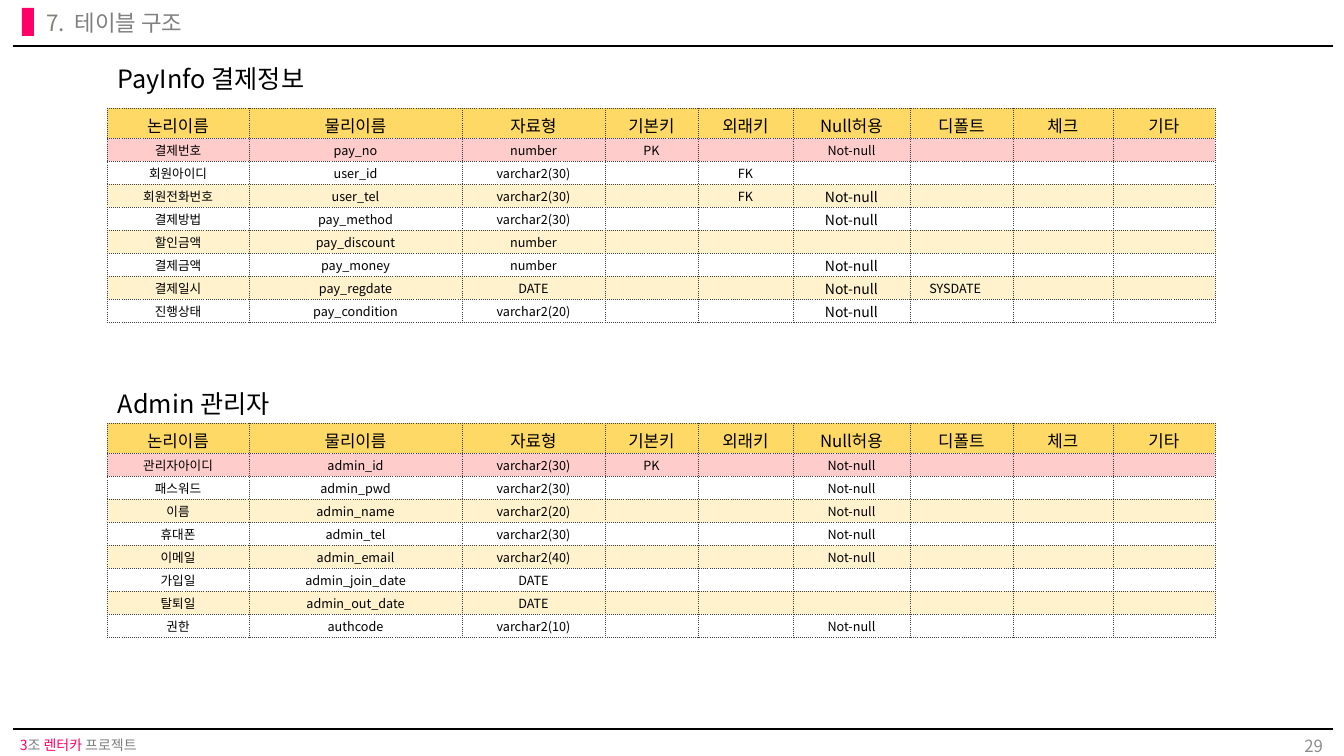
from itertools import product

from lxml.etree import SubElement
from pptx import Presentation
from pptx.dml.color import RGBColor
from pptx.enum.shapes import MSO_CONNECTOR, MSO_SHAPE
from pptx.enum.text import MSO_ANCHOR as ANCHOR, MSO_AUTO_SIZE as AUTO_SIZE, PP_ALIGN as ALIGN
from pptx.oxml.ns import qn
from pptx.util import Pt

# Content
TITLE = "7.  테이블 구조"
PAGE = "29"
FOOTER = [("3", "pink"), ("조 ", "gray"), ("렌터카", "pink"), (" 프로젝트", "gray")]
HEADERS = ["논리이름", "물리이름", "자료형", "기본키", "외래키", "Null허용", "디폴트", "체크", "기타"]
PAY_ROWS = [
    ("결제번호", "pay_no", "number", "PK", "", "Not-null"),
    ("회원아이디", "user_id", "varchar2(30)", "", "FK"),
    ("회원전화번호", "user_tel", "varchar2(30)", "", "FK", "Not-null"),
    ("결제방법", "pay_method", "varchar2(30)", "", "", "Not-null"),
    ("할인금액", "pay_discount", "number"),
    ("결제금액", "pay_money", "number", "", "", "Not-null"),
    ("결제일시", "pay_regdate", "DATE", "", "", "Not-null", "SYSDATE　"),
    ("진행상태", "pay_condition", "varchar2(20)", "", "", "Not-null"),
]
ADMIN_ROWS = [
    ("관리자아이디", "admin_id", "varchar2(30)", "PK", "", "Not-null"),
    ("패스워드", "admin_pwd", "varchar2(30)", "", "", "Not-null"),
    ("이름", "admin_name", "varchar2(20)", "", "", "Not-null"),
    ("휴대폰", "admin_tel", "varchar2(30)", "", "", "Not-null"),
    ("이메일", "admin_email", "varchar2(40)", "", "", "Not-null"),
    ("가입일", "admin_join_date", "DATE"),
    ("탈퇴일", "admin_out_date", "DATE"),
    ("권한", "authcode", "varchar2(10)", "", "", "Not-null"),
]
# caption, caption box, table top, rows, size of the Null column below the key row
ENTITIES = [
    ("PayInfo 결제정보", (108, 58, 220, 40), 108, PAY_ROWS, 10),
    ("Admin 관리자", (108, 383, 188, 40), 423, ADMIN_ROWS, 9),
]

# Style and measures in px
COLORS = {"black": "000000", "pink": "FF0066", "gray": "808080", "page": "8C8C8C",
          "header": "FFD966", "key": "FF0000", "band": "FFC000", "border": "404040"}
FONT = "Noto Sans CJK KR"
PX = 914400 / 100.8
COLUMNS = [142, 213, 143, 93, 95, 117, 103, 100, 102]
TABLE_LEFT, HEADER_HEIGHT, ROW_HEIGHT = 107, 30, 23
NULL_COLUMN = HEADERS.index("Null허용")


def px(*lengths):
    return [round(length * PX) for length in lengths]


def rgb(name):
    return RGBColor.from_string(COLORS[name])


def style_runs(paragraph, size, color):
    for run in paragraph.runs:
        font = run.font
        font.size, font.name, font.color.rgb = Pt(size), FONT, rgb(color)
        SubElement(font._element, qn("a:ea"), typeface=FONT)


def add_text(box, text, size, color, align=ALIGN.LEFT):
    textbox = slide.shapes.add_textbox(*px(*box))
    frame = textbox.text_frame
    frame.word_wrap = True
    frame.text = text
    frame.paragraphs[0].alignment = align
    style_runs(frame.paragraphs[0], size, color)
    return frame


def add_borders(cell):
    properties = cell._tc.get_or_add_tcPr()
    for side in ("lnL", "lnR", "lnT", "lnB"):
        border = SubElement(properties, qn(f"a:{side}"), w=str(Pt(0.25)))
        fill = SubElement(border, qn("a:solidFill"))
        SubElement(fill, qn("a:srgbClr"), val=COLORS["border"])
        SubElement(border, qn("a:prstDash"), val="sysDot")


def fill_cell(cell, color, opacity=100):
    if color is None:
        cell.fill.background()
        return
    cell.fill.solid()
    cell.fill.fore_color.rgb = rgb(color)
    if opacity < 100:
        shade = cell._tc.tcPr.find(qn("a:solidFill")).find(qn("a:srgbClr"))
        SubElement(shade, qn("a:alpha"), val=str(opacity * 1000))


def add_entity_table(top, rows, null_size):
    height = HEADER_HEIGHT + ROW_HEIGHT * len(rows)
    frame = slide.shapes.add_table(len(rows) + 1, len(COLUMNS),
                                   *px(TABLE_LEFT, top, sum(COLUMNS), height))
    table = frame.table
    table.first_row = table.horz_banding = False
    for column, width in zip(table.columns, px(*COLUMNS)):
        column.width = width
    for r, row in enumerate(table.rows):
        row.height = px(ROW_HEIGHT if r else HEADER_HEIGHT)[0]

    lines = [HEADERS, *rows]
    for r, c in product(range(len(lines)), range(len(COLUMNS))):
        cell = table.cell(r, c)
        cell.text = lines[r][c] if c < len(lines[r]) else ""
        add_borders(cell)
        if r == 0:
            size = 12
            fill_cell(cell, "header")
        else:
            size = null_size if c == NULL_COLUMN and r > 1 else 9
            fill_cell(cell, "key" if r == 1 else "band" if r % 2 else None, 20)
            cell.vertical_anchor = ANCHOR.MIDDLE
            cell.margin_left, cell.margin_top, cell.margin_right, cell.margin_bottom = px(1, 1, 1, 0)
        paragraph = cell.text_frame.paragraphs[0]
        paragraph.alignment = ALIGN.CENTER
        style_runs(paragraph, size, "black")
        if not cell.text:
            SubElement(paragraph._p, qn("a:endParaRPr"), sz=str(size * 100))


deck = Presentation()
deck.slide_width, deck.slide_height = px(1344, 756)
slide = deck.slides.add_slide(deck.slide_layouts[5])

# Rules above and below the content
for y in (46, 729):
    rule = slide.shapes.add_connector(MSO_CONNECTOR.STRAIGHT, *px(13, y, 1333, y))
    rule.line.color.rgb, rule.line.width = rgb("black"), Pt(1.5)
    SubElement(rule._element.spPr, qn("a:effectLst"))

# Title with its marker
marker = slide.shapes.add_shape(MSO_SHAPE.RECTANGLE, *px(22, 8, 12, 28))
marker.shadow.inherit = False
marker.fill.solid()
marker.fill.fore_color.rgb = rgb("pink")
marker.line.fill.background()

title = slide.shapes.title
title.left, title.top, title.width, title.height = px(36, 7, 443, 35)
heading = title.text_frame
heading.text = TITLE
heading.auto_size, heading.vertical_anchor = AUTO_SIZE.NONE, ANCHOR.TOP
heading.paragraphs[0].alignment = ALIGN.LEFT
heading.paragraphs[0].line_spacing = 0.9
style_runs(heading.paragraphs[0], 16, "gray")

# Captions and tables
for caption, box, top, rows, null_size in ENTITIES:
    add_text(box, caption, 18, "black")
    add_entity_table(top, rows, null_size)

# Footer and page number
footer = add_text((13, 734, 310, 23), "", 10, "gray")
footer.margin_left, footer.margin_top, footer.margin_right, footer.margin_bottom = px(7, 4, 7, 4)
credit = footer.paragraphs[0]
credit.line_spacing = 0.9
for words, color in FOOTER:
    credit.add_run().text = words
style_runs(credit, 10, "gray")
for run, (words, color) in zip(credit.runs, FOOTER):
    run.font.color.rgb = rgb(color)

page = add_text((1268, 728, 65, 35), PAGE, 12, "page", ALIGN.RIGHT)
page.vertical_anchor = ANCHOR.MIDDLE

deck.save("out.pptx")
